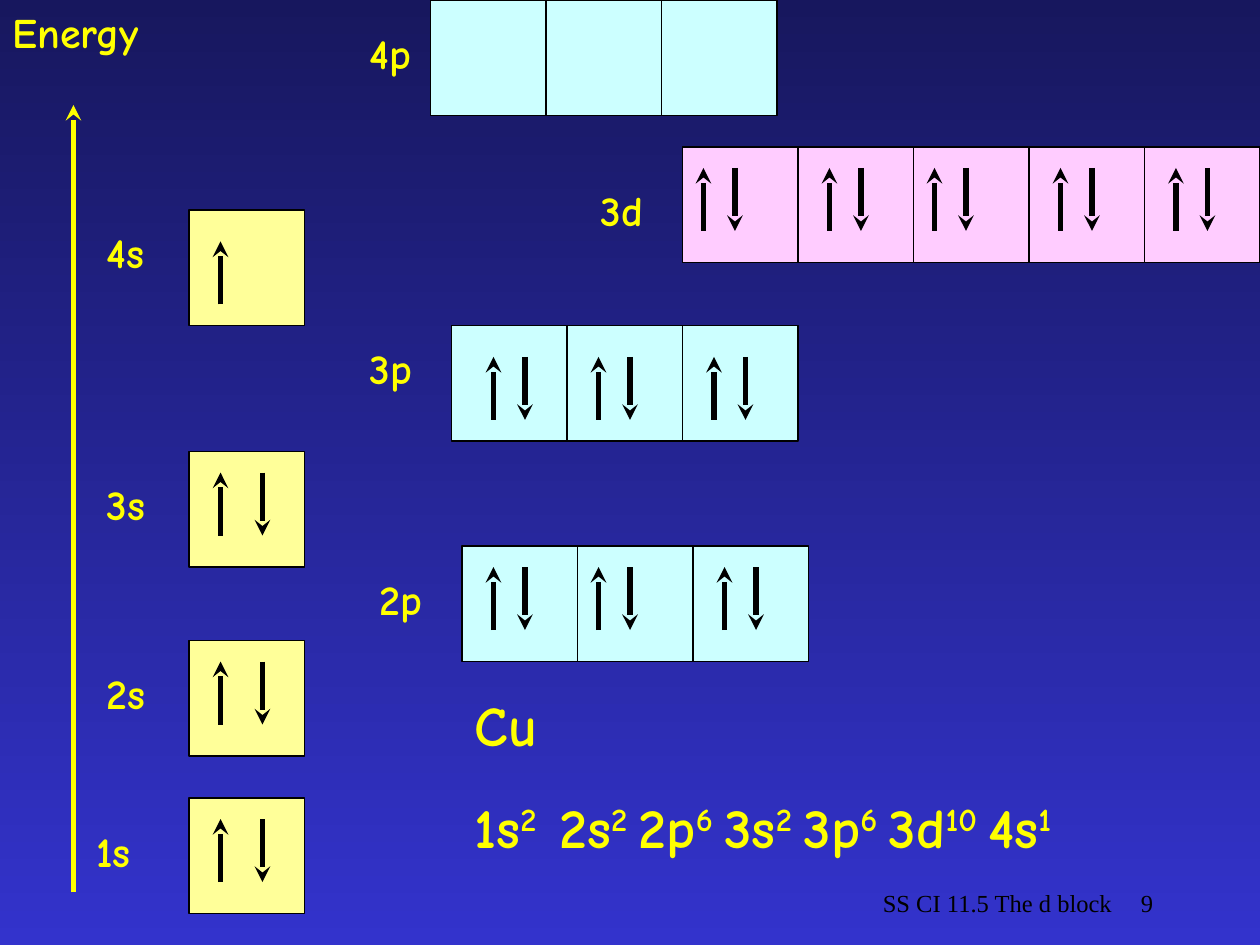
"""Build the energy-level slide for the electron configuration of copper."""
from collections import namedtuple
from dataclasses import dataclass

from lxml import etree
from pptx import Presentation, util as u
from pptx.dml.color import RGBColor
from pptx.enum import shapes, text
from pptx.oxml import ns

Pt = u.Pt


@dataclass(frozen=True)
class Theme:
    top: str = "17175E"
    bottom: str = "3333CC"
    accent: str = "FFFF00"
    ink: str = "000000"
    s: str = "FFFF99"
    p: str = "CCFFFF"
    d: str = "FFCCFF"
    font: str = "Comic Neue"
    footer_font: str = "Times New Roman"
    label: int = 24
    body: int = 32
    footer: int = 14


THEME = Theme()
CELL = 66
ARROW_LENGTH = 48 - 12
ROW_HEIGHT = 36

Level = namedtuple("Level", "name label left top cells arrow_top ups down_gap")
LEVELS = [
    Level("1s", (48, 468, 54), 108, 456, 1, 468, [126], 24),
    Level("2s", (54, 378, 48), 108, 366, 1, 378, [126], 24),
    Level("2p", (210, 324, 54), 264, 312, 3, 324, [282, 342, 414], 18),
    Level("3s", (54, 270, 48), 108, 258, 1, 270, [126], 24),
    Level("3p", (204, 192, 48), 258, 186, 3, 204, [282, 342, 408], 18),
    Level("3d", (336, 102, 54), 390, 84, 5, 96, [402, 474, 534, 606, 672], 18),
    Level("4s", (54, 126, 42), 108, 120, 1, 138, [126], None),
    Level("4p", (204, 12, 48), 246, 0, 3, 0, [], 18),
]
CONFIGURATION = [
    ("1s", "2  "), ("2s", "2 "), ("2p", "6 "), ("3s", "2 "),
    ("3p", "6 "), ("3d", "10 "), ("4s", "1"),
]
LABEL_FORMAT = {"name": THEME.font, "size": Pt(THEME.label), "bold": True}
BODY_FORMAT = LABEL_FORMAT | {"size": Pt(THEME.body)}
FOOTER_FORMAT = {"name": THEME.footer_font, "size": Pt(THEME.footer)}


def rgb(value):
    """Return a colour from its hexadecimal form."""
    return RGBColor.from_string(value)


def apply_format(target, values):
    """Set each named attribute on the target."""
    for name, value in values.items():
        setattr(target, name, value)


def add_background(slide):
    """Fill the slide with a vertical gradient."""
    fill = slide.background.fill
    fill.gradient()
    fill.gradient_angle = 270
    for stop, colour in zip(fill.gradient_stops, (THEME.top, THEME.bottom)):
        stop.color.rgb = rgb(colour)


def add_cell(slide, left, top, colour):
    """Add one square orbital box."""
    shape = slide.shapes.add_shape(
        shapes.MSO_SHAPE.RECTANGLE, Pt(left), Pt(top), Pt(CELL), Pt(CELL))
    shape.shadow.inherit = False
    shape.fill.solid()
    shape.fill.fore_color.rgb = rgb(colour)
    shape.line.color.rgb = rgb(THEME.ink)
    shape.line.width = Pt(0.75)


def add_arrow(slide, x, start, end, colour=THEME.ink):
    """Add a vertical arrow with its head at the end point."""
    arrow = slide.shapes.add_connector(
        shapes.MSO_CONNECTOR.STRAIGHT, Pt(x), Pt(start), Pt(x), Pt(end))
    arrow.line.color.rgb = rgb(colour)
    arrow.line.width = Pt(3)
    properties = arrow.line._get_or_add_ln()
    etree.SubElement(properties, ns.qn("a:tailEnd"), type="stealth")
    etree.SubElement(arrow._element.spPr, ns.qn("a:effectLst"))


def add_run(paragraph, words, values, colour, baseline=None):
    """Add a formatted run, raised when a baseline is given."""
    run = paragraph.add_run()
    run.text = words
    apply_format(run.font, values)
    run.font.color.rgb = rgb(colour)
    if baseline:
        run._r.get_or_add_rPr().set("baseline", baseline)


def add_frame(slide, left, top, width, height=ROW_HEIGHT, **values):
    """Add a wrapping text box and return its text frame."""
    box = slide.shapes.add_textbox(Pt(left), Pt(top), Pt(width), Pt(height))
    apply_format(box.text_frame, {"word_wrap": True} | values)
    return box.text_frame


def add_label(slide, words, left, top, width):
    """Add a yellow label."""
    paragraph = add_frame(slide, left, top, width).paragraphs[0]
    add_run(paragraph, words, LABEL_FORMAT, THEME.accent)


def add_footer(slide, words, left, width, alignment):
    """Add a footer text on the bottom line."""
    frame = add_frame(slide, left, 492, width,
                      vertical_anchor=text.MSO_ANCHOR.BOTTOM)
    paragraph = frame.paragraphs[0]
    paragraph.alignment = alignment
    add_run(paragraph, words, FOOTER_FORMAT, THEME.ink)


def add_level(slide, level):
    """Add a subshell with its label, boxes and electrons."""
    add_label(slide, level.name, *level.label)
    for index in range(level.cells):
        add_cell(slide, level.left + index * CELL, level.top,
                 getattr(THEME, level.name[-1]))
    bottom = level.arrow_top + ARROW_LENGTH
    for x in level.ups:
        add_arrow(slide, x, bottom, level.arrow_top)
        if level.down_gap:
            add_arrow(slide, x + level.down_gap, level.arrow_top, bottom)


def add_configuration(slide):
    """Add the element symbol and its electron configuration."""
    frame = add_frame(slide, 264, 391, 456, 104)
    add_run(frame.paragraphs[0], "Cu", BODY_FORMAT, THEME.accent)
    paragraph = frame.add_paragraph()
    paragraph.space_before = Pt(20)
    for subshell, count in CONFIGURATION:
        add_run(paragraph, subshell, BODY_FORMAT, THEME.accent)
        add_run(paragraph, count, BODY_FORMAT, THEME.accent, "30000")


def main():
    """Build and save the presentation."""
    presentation = Presentation()
    apply_format(presentation, {"slide_width": Pt(720), "slide_height": Pt(540)})
    slide = presentation.slides.add_slide(presentation.slide_layouts[6])
    add_background(slide)
    add_label(slide, "Energy", 0, 0, 198)
    add_arrow(slide, 42, 510, 60, THEME.accent)
    for level in LEVELS:
        add_level(slide, level)
    add_configuration(slide)
    add_footer(slide, "SS CI 11.5 The d block", 456, 228, text.PP_ALIGN.CENTER)
    add_footer(slide, "9", 516, 150, text.PP_ALIGN.RIGHT)
    presentation.save("out.pptx")


if __name__ == "__main__":
    main()
